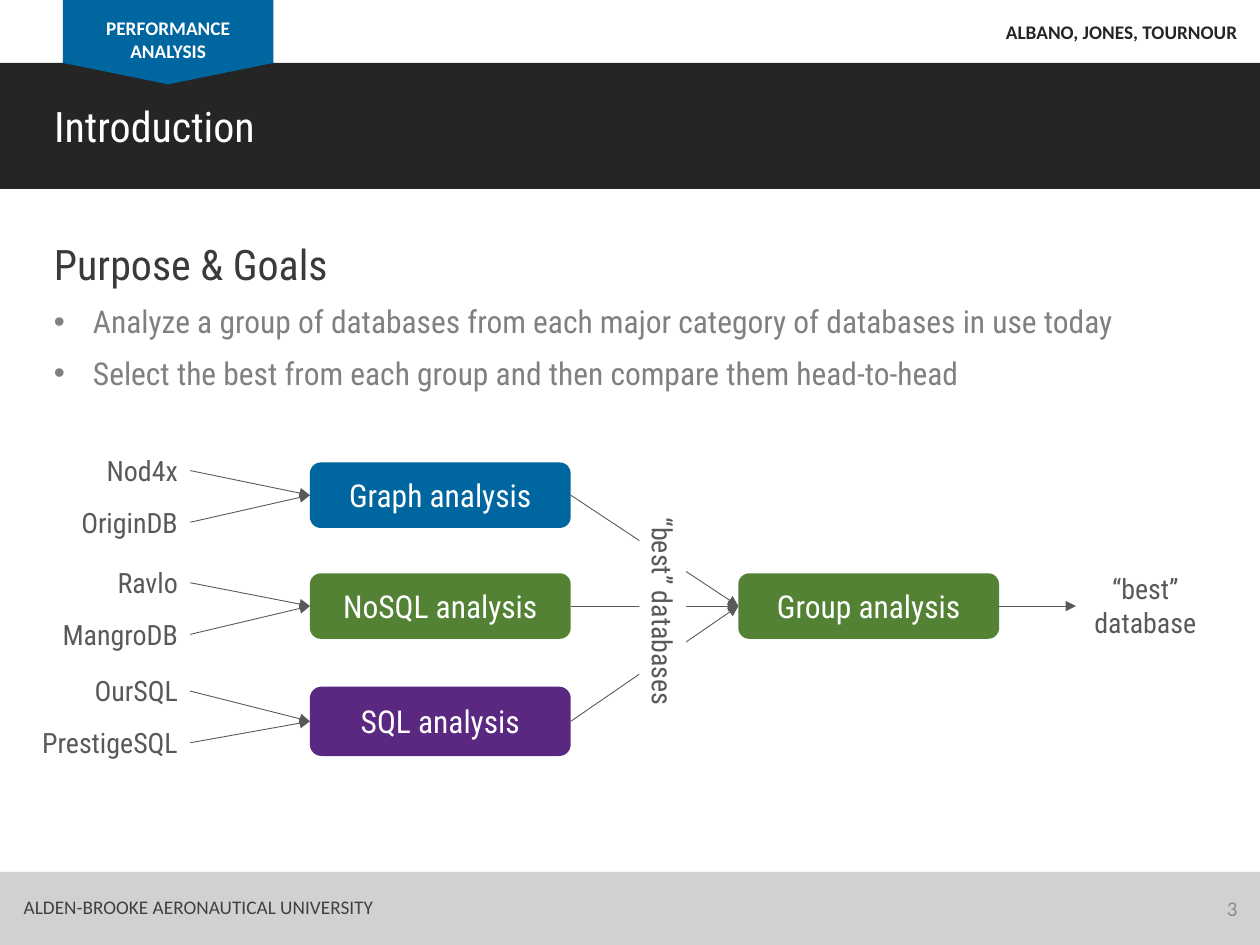
from lxml.etree import SubElement
from pptx import Presentation
from pptx.dml.color import RGBColor
from pptx.enum.shapes import MSO_CONNECTOR as Link, MSO_SHAPE as Shape
from pptx.enum.text import MSO_ANCHOR as Anchor, PP_ALIGN as Align
from pptx.oxml.ns import qn
from pptx.util import Inches, Pt

BLUE = RGBColor(0x00, 0x66, 0xA0)
GREEN = RGBColor(0x54, 0x82, 0x35)
PURPLE = RGBColor(0x5A, 0x27, 0x81)
BLACK = RGBColor(0x25, 0x25, 0x25)
WHITE = RGBColor(0xFF, 0xFF, 0xFF)
SILVER = RGBColor(0xD1, 0xD1, 0xD1)
HEAD = RGBColor(0x3A, 0x3A, 0x3A)
BODY = RGBColor(0x80, 0x80, 0x80)
FOOT = RGBColor(0x40, 0x40, 0x40)
PAGE = RGBColor(0x8C, 0x8C, 0x8C)
GRAY = RGBColor(0x59, 0x59, 0x59)
MAIN, SMALL = "Roboto Condensed", "Calibri"

# Box top, box height, fill, caption, top of first source, sources
GROUPS = [
    (3.67, 0.52, BLUE, "Graph analysis", 3.55, ("Nod4x", "OriginDB")),
    (4.55, 0.52, GREEN, "NoSQL analysis", 4.44, ("Ravlo", "MangroDB")),
    (5.45, 0.55, PURPLE, "SQL analysis", 5.30, ("OurSQL", "PrestigeSQL")),
]
STEP = 0.41  # between the two sources of a group
GOALS = [
    "Analyze a group of databases from each major category of databases in use today",
    "Select the best from each group and then compare them head-to-head",
]


def style(shape, text, size, color, font=MAIN, align=Align.LEFT,
          anchor=Anchor.TOP, bold=False, wrap=True):
    frame = shape.text_frame
    frame.text = text
    frame.word_wrap = wrap
    frame.vertical_anchor = anchor
    for para in frame.paragraphs:
        para.alignment = align
        for run in para.runs:
            run.font.size = Pt(size)
            run.font.name = font
            run.font.bold = bold
            run.font.color.rgb = color


def add_text(slide, at, *args, **look):
    box = slide.shapes.add_textbox(*map(Inches, at))
    style(box, *args, **look)
    return box


def add_block(slide, kind, at, fill):
    block = slide.shapes.add_shape(kind, *map(Inches, at))
    block.shadow.inherit = False
    block.fill.solid()
    block.fill.fore_color.rgb = fill
    block.line.fill.background()
    return block


def add_box(slide, left, top, height, fill, text):
    box = add_block(slide, Shape.ROUNDED_RECTANGLE, (left, top, 2.07, height), fill)
    style(box, text, 18, WHITE, align=Align.CENTER, anchor=Anchor.MIDDLE)
    return box


def add_arrow(slide, start, end):
    """Join the right side of start to the left side of end."""
    arrow = slide.shapes.add_connector(Link.STRAIGHT, 0, 0, 0, 0)
    arrow.begin_connect(start, 3)
    arrow.end_connect(end, 1)
    arrow.line.color.rgb = GRAY
    arrow.line.width = Pt(0.5)
    SubElement(arrow.line._get_or_add_ln(), qn("a:tailEnd"), type="triangle")
    SubElement(arrow.element.spPr, qn("a:effectLst"))


def add_header(slide):
    add_block(slide, Shape.RECTANGLE, (0, 0.5, 10, 1), BLACK)
    add_block(slide, Shape.RECTANGLE, (0.5, 0, 1.67, 0.5), BLUE)
    tip = add_block(slide, Shape.ISOSCELES_TRIANGLE, (0.5, 0.5, 1.67, 0.17), BLUE)
    tip.element.spPr.xfrm.set("flipV", "1")
    add_text(slide, (0.5, 0.08, 1.67, 0.47), "PERFORMANCE ANALYSIS", 11, WHITE,
             font=SMALL, align=Align.CENTER, bold=True)
    add_text(slide, (6.9, 0.11, 3.02, 0.29), "ALBANO, JONES, TOURNOUR", 11, BLACK,
             font=SMALL, align=Align.RIGHT, bold=True)


def add_title(slide):
    title = slide.shapes.title
    title.left, title.top, title.width, title.height = map(
        Inches, (0.33, 0.75, 4.67, 0.5))
    style(title, "Introduction", 24, WHITE)
    slide.shapes.element.append(title.element)  # bring in front of the band


def add_goals(slide):
    add_text(slide, (0.33, 1.84, 3.17, 0.5), "Purpose & Goals", 24, HEAD)
    goals = add_text(slide, (0.33, 2.35, 9.06, 0.82), "\n".join(GOALS), 18, BODY)
    for para in goals.text_frame.paragraphs:
        para.space_after = Pt(8)
        props = para._p.get_or_add_pPr()
        props.set("marL", str(Inches(0.31)))
        props.set("indent", str(-Inches(0.31)))
        SubElement(props, qn("a:buFont"), typeface="Arial")
        SubElement(props, qn("a:buChar"), char="•")


def add_flow(slide):
    final = add_box(slide, 5.86, 4.55, 0.52, GREEN, "Group analysis")
    for top, height, fill, text, first, names in GROUPS:
        box = add_box(slide, 2.46, top, height, fill, text)
        for i, name in enumerate(names):
            label = add_text(slide, (0.1, first + i * STEP, 1.41, 0.37), name,
                             16, GRAY, align=Align.RIGHT)
            add_arrow(slide, label, box)
        add_arrow(slide, box, final)
    best = add_text(slide, (8.54, 4.49, 1.1, 0.64), "“best” database", 16, GRAY,
                    align=Align.CENTER)
    add_arrow(slide, final, best)
    strip = add_block(slide, Shape.RECTANGLE, (4.18, 4.67, 2.16, 0.37), WHITE)
    strip.rotation = 90
    style(strip, "“best” databases", 16, GRAY, align=Align.CENTER)


def add_footer(slide):
    add_block(slide, Shape.RECTANGLE, (0, 6.92, 10, 0.58), SILVER)
    add_text(slide, (0.09, 7.06, 3.03, 0.29), "ALDEN-BROOKE AERONAUTICAL UNIVERSITY",
             11, FOOT, font=SMALL, wrap=False)
    add_text(slide, (7.67, 7.01, 2.25, 0.4), "3", 12, PAGE, font=SMALL,
             align=Align.RIGHT, anchor=Anchor.MIDDLE)


def main():
    deck = Presentation()
    deck.slide_width, deck.slide_height = Inches(10), Inches(7.5)
    slide = deck.slides.add_slide(deck.slide_layouts[5])
    add_header(slide)
    add_title(slide)
    add_goals(slide)
    add_flow(slide)
    add_footer(slide)
    deck.save("out.pptx")


if __name__ == "__main__":
    main()
